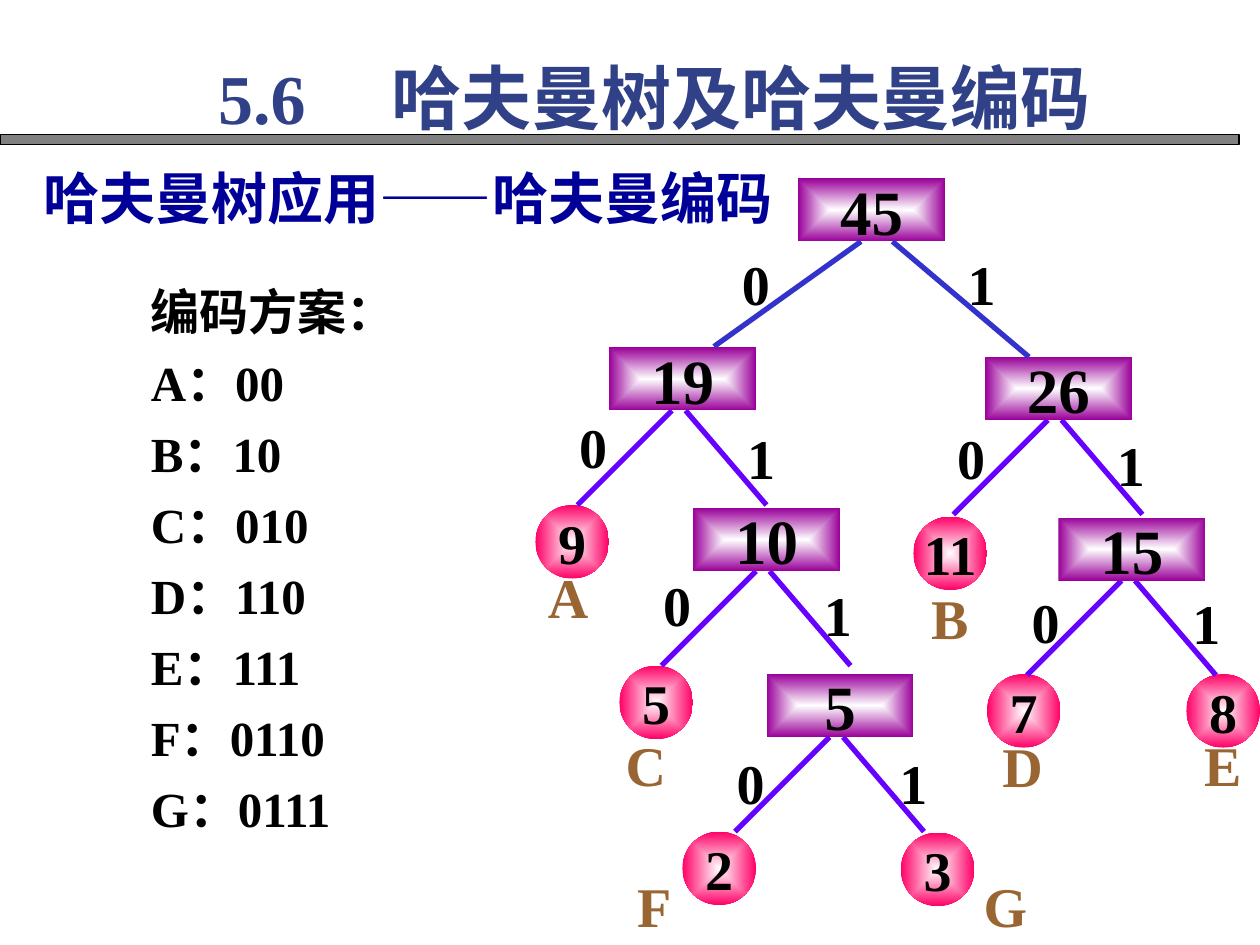
from lxml.etree import SubElement
from pptx import Presentation
from pptx.dml.color import RGBColor
from pptx.enum.shapes import MSO_CONNECTOR, MSO_SHAPE
from pptx.enum.text import MSO_ANCHOR, MSO_AUTO_SIZE, PP_ALIGN
from pptx.oxml import parse_xml
from pptx.oxml.ns import nsdecls, qn
from pptx.util import Inches, Pt

COLS, ROWS = 120, 90
WIDTH, HEIGHT = Inches(10), Inches(7.5)
FONT = "Times New Roman"
NODE_W, NODE_H, LEAF = 14, 6, 7

# text: column, row on the grid
ROOT = ("45", 76, 17)
INNER = [("19", 58, 33.1), ("26", 93.8, 34), ("10", 66, 48.4),
         ("15", 100.8, 49.3), ("5", 73, 64.2)]
LEAVES = [("9", 51, 48.1), ("5", 59, 63.4), ("2", 65, 79.2), ("3", 85.8, 79.3),
          ("11", 87, 49.2), ("8", 113, 64.2), ("7", 94, 64.2)]
BITS = {
    "0": [(68.5, 23.5), (53, 39), (89, 40), (61, 54), (96.1, 55.7), (68, 71)],
    "1": [(90, 23.5), (69, 40), (104.2, 40.7), (76.3, 55), (111.4, 55.8), (83.5, 71)],
}
LETTERS = [("A", 51, 53), ("B", 87.5, 55), ("C", 58.4, 69), ("D", 94.3, 69.1),
           ("E", 113.5, 69), ("F", 59.5, 82.4), ("G", 92.5, 82.4)]
CODES = ["编码方案：", "A：00", "B：10", "C：010", "D：110", "E：111", "F：0110", "G：0111"]


def rgb(color):
    return RGBColor.from_string(color)


def x(col):
    return round(WIDTH * col / COLS)


def y(row):
    return round(HEIGHT * row / ROWS)


def write(sp, lines, size, color="000000", align=PP_ALIGN.JUSTIFY, before=0, tab=None):
    """Fill a shape with one paragraph per line; tab is a stop in columns."""
    tf = sp.text_frame
    for i, line in enumerate(lines):
        p = tf.paragraphs[0] if i == 0 else tf.add_paragraph()
        p.alignment = align
        if i and before:
            p.space_before = Pt(before)
        if tab:
            stops = SubElement(p._p.get_or_add_pPr(), qn("a:tabLst"))
            SubElement(stops, qn("a:tab"), pos=str(x(tab)), algn="l")
        r = p.add_run()
        r.text = line
        r.font.name, r.font.size, r.font.bold = FONT, Pt(size), True
        r.font.color.rgb = rgb(color)


def add_text(s, lines, col, row, cols, rows, size, **fmt):
    sp = s.shapes.add_textbox(x(col), y(row), x(cols), y(rows))
    sp.text_frame.word_wrap = True
    sp.text_frame.auto_size = MSO_AUTO_SIZE.SHAPE_TO_FIT_TEXT
    write(sp, lines, size, **fmt)


def add_plain(s, kind, col, row, cols, rows):
    """Add a preset shape with no shadow, fill or line."""
    sp = s.shapes.add_shape(kind, x(col), y(row), x(cols), y(rows))
    sp.shadow.inherit = False
    sp.fill.background()
    sp.line.fill.background()
    return sp


def glow(sp, color):
    """Fill from a white centre out to the colour at the rim."""
    grad = parse_xml(
        f'<a:gradFill {nsdecls("a")} rotWithShape="1"><a:gsLst>'
        '<a:gs pos="0"><a:srgbClr val="FFFFFF"/></a:gs>'
        f'<a:gs pos="100000"><a:srgbClr val="{color}"/></a:gs></a:gsLst>'
        '<a:path path="rect"><a:fillToRect l="50000" t="50000" r="50000" b="50000"/>'
        '</a:path></a:gradFill>')
    spPr = sp._element.spPr
    spPr.replace(spPr.find(qn("a:noFill")), grad)


def add_label(s, kind, text, col, row, cols, rows, size, color=None):
    """Add centred text in a shape, glowing when a colour is given."""
    sp = add_plain(s, kind, col, row, cols, rows)
    if color:
        glow(sp, color)
    sp.text_frame.word_wrap = False
    sp.text_frame.vertical_anchor = MSO_ANCHOR.MIDDLE
    write(sp, [text], size, align=PP_ALIGN.CENTER)


def add_edge(s, start, end, color):
    line = s.shapes.add_connector(MSO_CONNECTOR.STRAIGHT, x(start[0]), y(start[1]),
                                  x(end[0]), y(end[1]))
    line.line.color.rgb = rgb(color)
    line.line.width = Pt(3)
    SubElement(line._element.spPr, qn("a:effectLst"))


def add_tree(s):
    for text, col, row in LEAVES:
        add_label(s, MSO_SHAPE.OVAL, text, col, row, LEAF, LEAF, 32, "FF0066")
    for _, col, row in INNER:
        bottom = row + NODE_H
        add_edge(s, (col + 6, bottom), (col - 3, bottom + 9), "6600FF")
        add_edge(s, (col + 7.3, bottom), (col + 15, bottom + 9), "6600FF")
    for text, col, row in [*INNER, ROOT]:
        add_label(s, MSO_SHAPE.RECTANGLE, text, col, row, NODE_W, NODE_H, 36, "990099")
    add_edge(s, (82, 23), (68, 33), "3333CC")
    add_edge(s, (85, 23), (98, 34), "3333CC")
    for bit, places in BITS.items():
        for col, row in places:
            add_label(s, MSO_SHAPE.OVAL, bit, col, row, LEAF, LEAF, 32)
    for letter, col, row in LETTERS:
        add_text(s, [letter], col, row, 6, 7.7, 32, color="996633")


def main():
    prs = Presentation()
    prs.slide_width, prs.slide_height = WIDTH, HEIGHT
    s = prs.slides.add_slide(prs.slide_layouts[6])

    bar = add_plain(s, MSO_SHAPE.RECTANGLE, 0, 12.8, 118, 1)
    bar.fill.solid()
    bar.fill.fore_color.rgb = rgb("808080")
    bar.line.color.rgb = rgb("000000")
    bar.line.width = Pt(0.75)

    add_tree(s)
    add_text(s, ["5.6\t哈夫曼树及哈夫曼编码"], 19.6, 4.6, 92.5, 9.2, 40,
             color="314187", tab=16.5)
    add_text(s, CODES, 13.2, 26.2, 30.2, 54.2, 28, before=7)
    add_text(s, ["哈夫曼树应用——哈夫曼编码"], 3, 15, 90.4, 7.7, 32, color="000099")
    prs.save("out.pptx")


if __name__ == "__main__":
    main()
